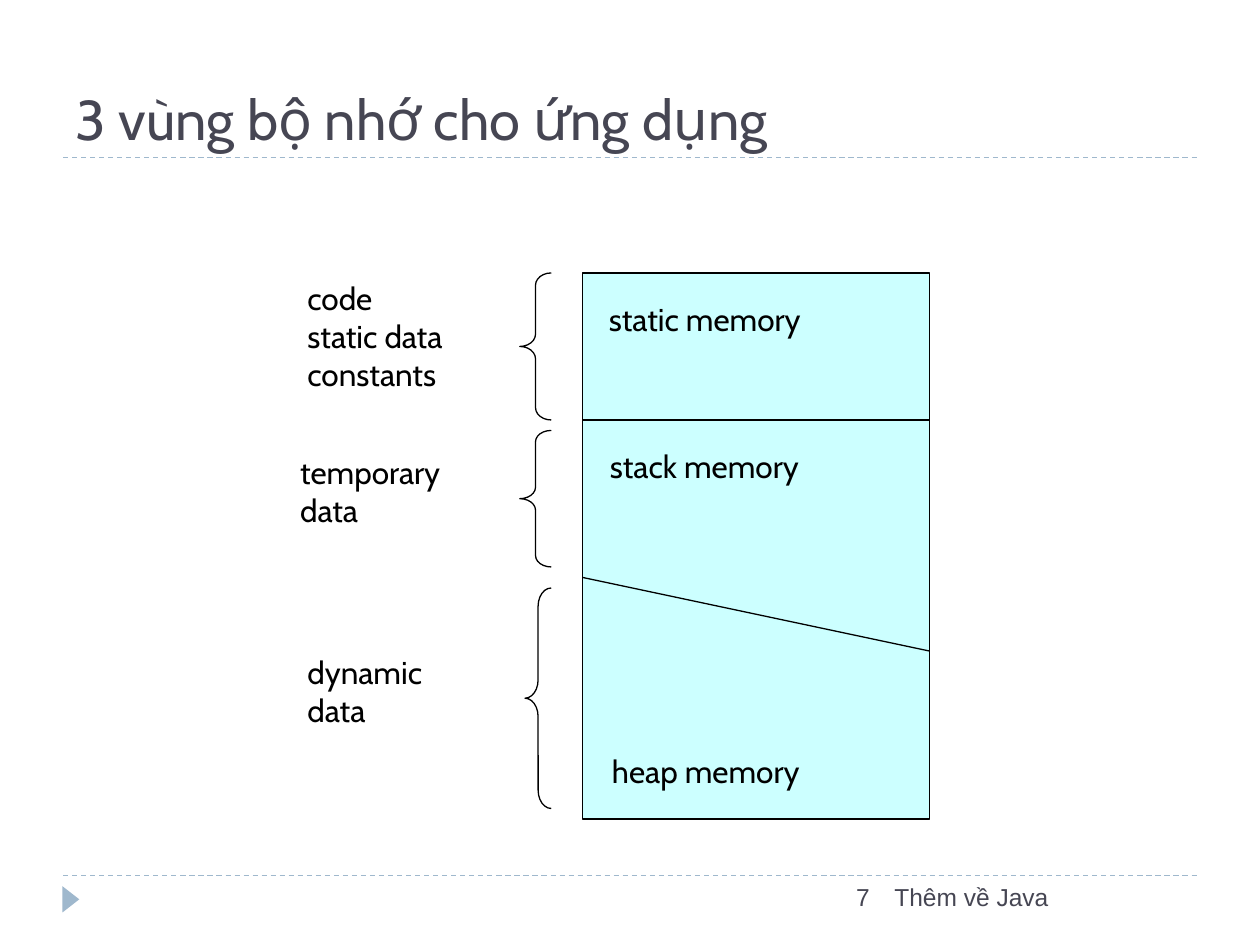
"""Build a slide on the three memory regions of an application."""
from dataclasses import dataclass

from lxml import etree
from pptx import Presentation
from pptx.dml.color import RGBColor
from pptx.enum import dml, shapes, text
from pptx.oxml import ns
from pptx.util import Inches, Pt


@dataclass(frozen=True)
class Theme:
    """Colours, fonts and type sizes."""
    ink: str = "000000"
    heading: str = "464653"
    accent: str = "9FB8CD"
    memory: str = "CCFFFF"
    body_font: str = "Cabin"
    footer_font: str = "Arial"
    title_size: int = 32
    body_size: int = 18
    footer_size: int = 14
    line_width: float = 0.75


@dataclass(frozen=True)
class Box:
    """An area in grid columns and rows."""
    left: float
    top: float
    width: float
    height: float

    def inner(self, left, top, width, height):
        """Return an area given relative to this one."""
        return Box(self.left + left, self.top + top, width, height)

    def lengths(self):
        """Return the area as slide lengths."""
        return [grid(n) for n in (self.left, self.top, self.width, self.height)]


THEME = Theme()
COLUMNS, ROWS = 120, 90
REGIONS = [
    ("static memory", (29.8, 2), ["code", "static data", "constants"], (1.1, 0), (0, 14), 3),
    ("stack memory", (29.9, 16), ["temporary", "data"], (0.4, 16.6), (15, 13), 3),
    ("heap memory", (30.1, 45), ["dynamic", "data"], (1.1, 35.6), (30, 21), 2.5),
]


def grid(count):
    """Turn a number of grid cells into a length."""
    return Inches(count / 12)


def colour(code):
    """Turn a hex code into a colour."""
    return RGBColor.from_string(code)


def add_text(page, box, lines, size, font, code, align=text.PP_ALIGN.LEFT,
             anchor=text.MSO_ANCHOR.TOP, wrap=True):
    """Place lines of text, one paragraph each."""
    frame = page.shapes.add_textbox(*box.lengths()).text_frame
    frame.word_wrap = wrap
    frame.vertical_anchor = anchor
    for index, line in enumerate(lines):
        para = frame.add_paragraph() if index else frame.paragraphs[0]
        para.alignment = align
        span = para.add_run()
        span.text = line
        span.font.name = font
        span.font.size = Pt(size)
        span.font.color.rgb = colour(code)


def add_label(page, box, lines):
    """Place an unwrapped diagram label."""
    add_text(page, box, lines, THEME.body_size, THEME.body_font, THEME.ink, wrap=False)


def add_line(page, box, code=THEME.ink, dash=None):
    """Draw a line from the top left to the bottom right of a box."""
    left, top, width, height = box.lengths()
    line = page.shapes.add_connector(
        shapes.MSO_CONNECTOR.STRAIGHT, left, top, left + width, top + height)
    line.line.color.rgb = colour(code)
    line.line.width = Pt(THEME.line_width)
    line.line.dash_style = dash
    etree.SubElement(line._element.spPr, ns.qn("a:effectLst"))


def add_figure(page, box, kind, fill=None, outline=None):
    """Draw a preset shape with an optional fill and outline."""
    figure = page.shapes.add_shape(kind, *box.lengths())
    figure.shadow.inherit = False
    if fill:
        figure.fill.solid()
        figure.fill.fore_color.rgb = colour(fill)
    else:
        figure.fill.background()
    if outline:
        figure.line.color.rgb = colour(outline)
        figure.line.width = Pt(THEME.line_width)
    else:
        figure.line.fill.background()
    return figure


def add_rule(page, box):
    """Draw a dashed rule along the top of a box."""
    add_line(page, box.inner(0, 0, box.width, 0), THEME.accent, dml.MSO_LINE.DASH)


def add_title(page, box):
    """Place the title above its rule."""
    add_rule(page, box.inner(0, box.height, box.width, 0))
    add_text(page, box, ["3 vùng bộ nhớ cho ứng dụng"], THEME.title_size,
             THEME.body_font, THEME.heading, anchor=text.MSO_ANCHOR.BOTTOM)


def add_footer(page, box):
    """Place the rule, marker, page number and footer text."""
    add_rule(page, box)
    marker = add_figure(page, box.inner(-0.5, 1.45, 2.5, 1.6),
                        shapes.MSO_SHAPE.ISOSCELES_TRIANGLE, fill=THEME.accent)
    marker.rotation = 90
    style = THEME.footer_size, THEME.footer_font, THEME.heading
    add_text(page, box.inner(78, 0, 30, box.height), ["Thêm về Java"], *style)
    add_text(page, box.inner(32, 0, 46, box.height), ["7"], *style,
             align=text.PP_ALIGN.RIGHT)


def add_diagram(page, box):
    """Draw the memory block with its dividers, braces and labels."""
    block = box.inner(28.5, 0, 33, box.height)
    add_figure(page, block, shapes.MSO_SHAPE.RECTANGLE, THEME.memory, THEME.ink)
    for top, drop in ((14, 0), (29, 7)):
        add_line(page, block.inner(0, top, block.width, drop))
    for name, name_at, contents, contents_at, (top, height), width in REGIONS:
        add_label(page, box.inner(*name_at, 22.5, 4.8), [name])
        add_label(page, box.inner(*contents_at, 17, 1.2 + 3.6 * len(contents)), contents)
        brace = add_figure(page, box.inner(25.5 - width, top, width, height),
                           shapes.MSO_SHAPE.LEFT_BRACE, outline=THEME.ink)
        brace.adjustments[0] = height / 12 / width


def main():
    """Build and save the deck."""
    deck = Presentation()
    deck.slide_width, deck.slide_height = grid(COLUMNS), grid(ROWS)
    page = deck.slides.add_slide(deck.slide_layouts[6])
    add_footer(page, Box(6, 83.4, 108, 4.8))
    add_title(page, Box(6, 2, 108, 13))
    add_diagram(page, Box(27, 26, 61.5, 52))
    deck.save("out.pptx")


if __name__ == "__main__":
    main()
